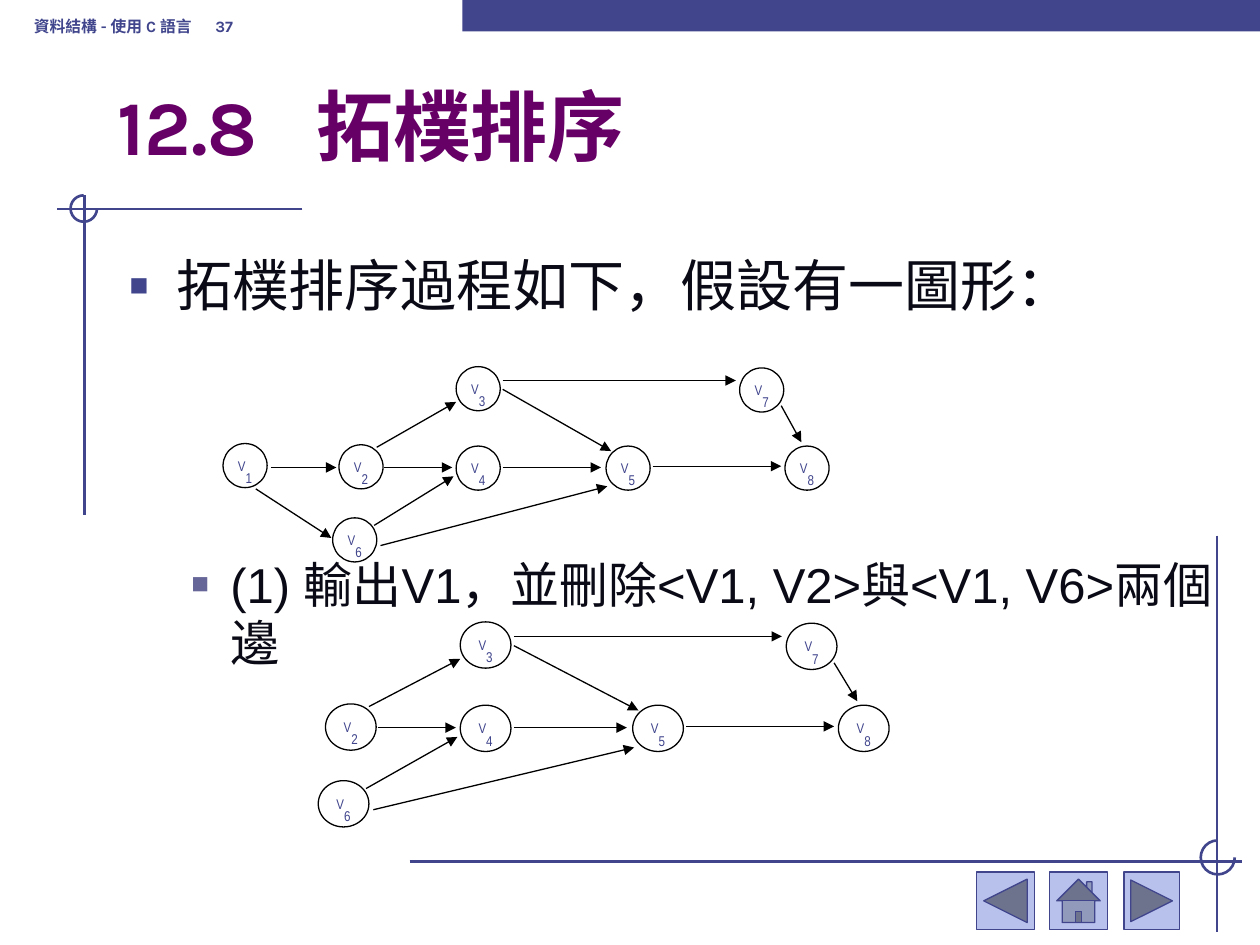
import pptx
import pptx.util
import pptx.dml.color
import pptx.enum.shapes
import pptx.enum.text
import pptx.oxml.ns
from lxml import etree

Inch = pptx.util.Inches
Pt = pptx.util.Pt
Kind = pptx.enum.shapes.MSO_SHAPE
Anchor = pptx.enum.text.MSO_ANCHOR
Align = pptx.enum.text.PP_ALIGN
qn = pptx.oxml.ns.qn

HUE = {"blue": "40458C", "plum": "660066", "ink": "090A15",
       "mist": "B7C1EB", "slate": "666699", "black": "000000"}

HEAD = "資料結構 - 使用 C 語言\t37"
TITLE = "12.8\t拓樸排序"
BODY = [
    {"text": "拓樸排序過程如下，假設有一圖形：", "size": 32, "left": 0.38, "hang": 0.38,
     "mark": "▪", "hue": "blue", "share": 110, "gap": 0},
    {"text": "(1) 輸出V1，並刪除<V1, V2>與<V1, V6>兩個邊", "size": 28, "left": 0.81,
     "hang": 0.31, "mark": "■", "hue": "slate", "share": 60, "gap": 135},
]
RULES = [(2.4, 1.66, 0.45, 1.66), (0.67, 1.55, 0.67, 4.09),
         (3.25, 6.84, 9.86, 6.84), (9.66, 4.25, 9.66, 7.4)]
ARCS = [(0.56, 1.55, 0.21), (9.53, 6.67, 0.27)]
KEYS = [(Kind.ACTION_BUTTON_BACK_OR_PREVIOUS, 7.75, 0.46),
        (Kind.ACTION_BUTTON_HOME, 8.33, 0.46),
        (Kind.ACTION_BUTTON_FORWARD_OR_NEXT, 8.92, 0.44)]

NODES = {1: (1.77, 3.52), 2: (2.69, 3.53), 3: (3.62, 2.91), 4: (3.62, 3.54),
         5: (4.81, 3.54), 6: (2.64, 4.11), 7: (5.87, 2.92), 8: (6.23, 3.54)}
EDGES = {
    (1, 2): (2.15, 3.71, 2.67, 3.71), (1, 6): (2.03, 3.88, 2.63, 4.27),
    (2, 3): (2.99, 3.55, 3.62, 3.19), (2, 4): (3.05, 3.71, 3.59, 3.71),
    (6, 4): (2.97, 4.17, 3.6, 3.78), (6, 5): (3.02, 4.33, 4.82, 3.86),
    (3, 5): (3.99, 3.09, 4.85, 3.58), (3, 7): (3.99, 3.02, 5.84, 3.02),
    (4, 5): (3.99, 3.71, 4.77, 3.71), (5, 8): (5.18, 3.7, 6.2, 3.7),
    (7, 8): (6.2, 3.22, 6.36, 3.51),
}
SIDE = 0.35
GRAPHS = [{"scale": (1, 1), "shift": (0, 0), "gone": set()},
          {"scale": (1.15, 1.05), "shift": (-0.51, 1.88), "gone": {1}}]


def tint(name):
    return pptx.dml.color.RGBColor.from_string(HUE[name])


def place(item, *box):
    item.left, item.top, item.width, item.height = map(Inch, box)


def write(para, text, size, face, hue, bold=False):
    run = para.add_run()
    run.text = text
    font = run.font
    font.size, font.name, font.bold = Pt(size), face, bold
    font.color.rgb = tint(hue)
    for tag in ("a:ea", "a:cs"):
        etree.SubElement(font._element, qn(tag), typeface=face)
    return run


def stop(para, at):
    tabs = etree.SubElement(para._p.get_or_add_pPr(), qn("a:tabLst"))
    etree.SubElement(tabs, qn("a:tab"), pos=str(Inch(at)), algn="l")


def bullet(para, row):
    props = para._p.get_or_add_pPr()
    props.set("marL", str(Inch(row["left"])))
    props.set("indent", str(-Inch(row["hang"])))
    color = etree.SubElement(props, qn("a:buClr"))
    etree.SubElement(color, qn("a:srgbClr"), val=HUE[row["hue"]])
    etree.SubElement(props, qn("a:buSzPct"), val=str(row["share"] * 1000))
    etree.SubElement(props, qn("a:buFont"), typeface="Arial")
    etree.SubElement(props, qn("a:buChar"), char=row["mark"])


def line(slide, ends, hue, width, arrow=False):
    link = slide.shapes.add_connector(
        pptx.enum.shapes.MSO_CONNECTOR.STRAIGHT, *map(Inch, ends))
    link.line.color.rgb, link.line.width = tint(hue), Pt(width)
    if arrow:
        etree.SubElement(link.line._get_or_add_ln(), qn("a:tailEnd"), type="triangle")
    etree.SubElement(link._element.spPr, qn("a:effectLst"))


def shape(slide, kind, box, fill=None, edge=None, width=0.75):
    item = slide.shapes.add_shape(kind, *map(Inch, box))
    item.shadow.inherit = False
    if fill:
        item.fill.solid()
        item.fill.fore_color.rgb = tint(fill)
    else:
        item.fill.background()
    if edge:
        item.line.color.rgb, item.line.width = tint(edge), Pt(width)
    else:
        item.line.fill.background()
    return item


def frame(slide):
    for ends in RULES:
        line(slide, ends, "blue", 1.5)
    for x, y, size in ARCS:
        arc = shape(slide, Kind.ARC, (x, y, size, size), edge="blue", width=1.5)
        arc.adjustments[0], arc.adjustments[1] = 0, 270 * 0.6
    shape(slide, Kind.RECTANGLE, (3.67, 0, 6.33, 0.25), fill="blue")
    for kind, x, wide in KEYS:
        shape(slide, kind, (x, 6.92, wide, 0.46), "mist", "blue")


def words(slide):
    head = slide.shapes.add_textbox(*map(Inch, (0.17, -0.17, 3.08, 0.5))).text_frame
    head.word_wrap, head.vertical_anchor = True, Anchor.BOTTOM
    stop(head.paragraphs[0], 1.44)
    write(head.paragraphs[0], HEAD, 9, "Karla", "blue", True)

    title = slide.shapes.title
    place(title, 0.83, 0.58, 8.5, 0.83)
    title.text_frame.vertical_anchor = Anchor.BOTTOM
    para = title.text_frame.paragraphs[0]
    para.alignment = Align.LEFT
    stop(para, 1.58)
    write(para, TITLE, 44, "Karla", "plum", True)

    body = slide.shapes.add_textbox(*map(Inch, (0.92, 1.94, 8.89, 4.72))).text_frame
    body.word_wrap = True
    for n, row in enumerate(BODY):
        para = body.add_paragraph() if n else body.paragraphs[0]
        bullet(para, row)
        para.space_before = Pt(row["gap"])
        write(para, row["text"], row["size"], "Arial", "ink")


def graph(slide, scale, shift, gone):
    def move(spot):
        return [v * scale[i % 2] + shift[i % 2] for i, v in enumerate(spot)]

    for name, spot in NODES.items():
        if name in gone:
            continue
        box = move(spot) + [SIDE * scale[0], SIDE * scale[1]]
        text = shape(slide, Kind.OVAL, box, edge="black").text_frame
        text.margin_left = text.margin_right = text.margin_top = text.margin_bottom = 0
        text.word_wrap, text.vertical_anchor = False, Anchor.MIDDLE
        para = text.paragraphs[0]
        para.alignment, para.line_spacing = Align.CENTER, 0.96
        write(para, "V", 8, "Arial Narrow", "blue")
        sub = write(para, str(name), 14, "Arial Narrow", "blue")
        sub.font._element.set("baseline", "-50000")
    for pair, ends in EDGES.items():
        if not gone & set(pair):
            line(slide, move(ends), "black", 0.75, True)


def main():
    deck = pptx.Presentation()
    deck.slide_width, deck.slide_height = Inch(10), Inch(7.5)
    slide = deck.slides.add_slide(deck.slide_layouts[5])
    frame(slide)
    words(slide)
    for plan in GRAPHS:
        graph(slide, **plan)
    deck.save("out.pptx")


if __name__ == "__main__":
    main()
